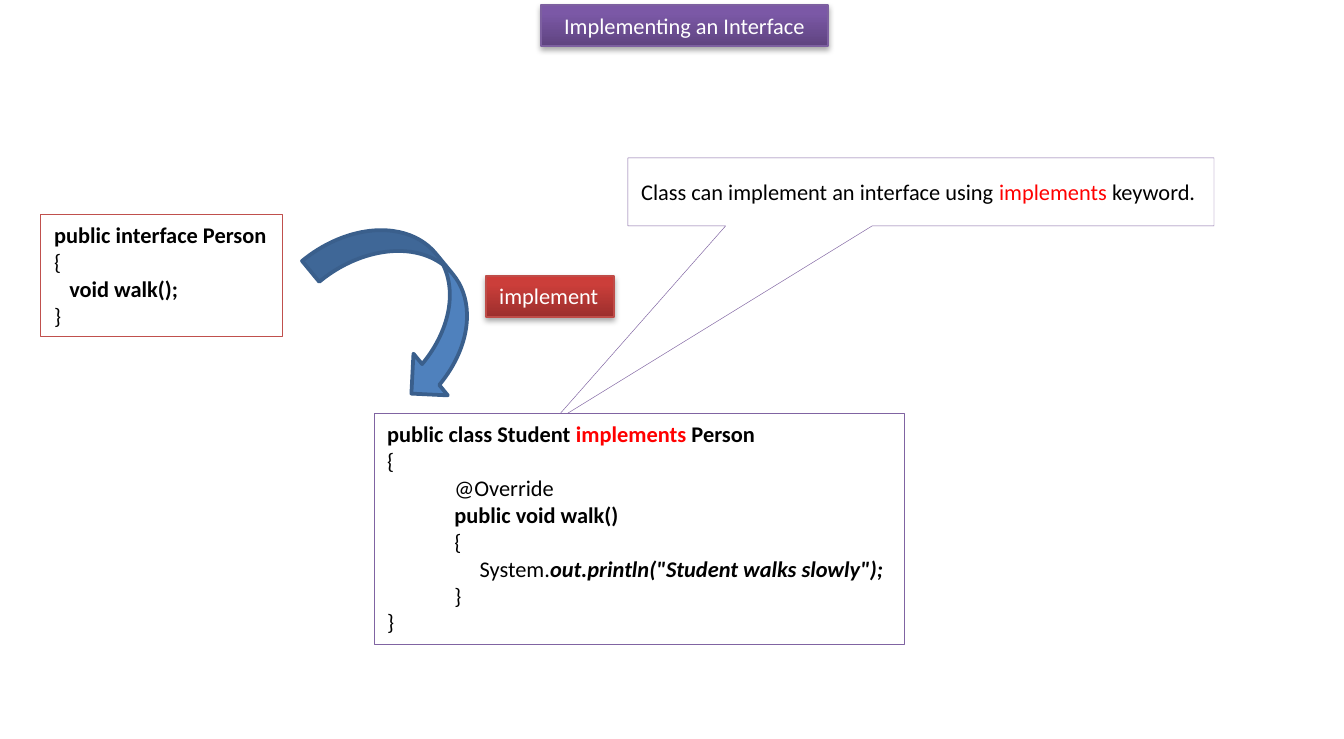
from copy import deepcopy

from lxml import etree
from pptx import Presentation
from pptx.dml.color import RGBColor
from pptx.enum.shapes import MSO_SHAPE
from pptx.enum.text import MSO_ANCHOR, MSO_AUTO_SIZE, PP_ALIGN
from pptx.oxml.ns import qn
from pptx.util import Emu, Inches, Pt

RECT = MSO_SHAPE.RECTANGLE
CALLOUT = MSO_SHAPE.RECTANGULAR_CALLOUT
CURVED_ARROW = MSO_SHAPE.CURVED_LEFT_ARROW
TOP, MIDDLE = MSO_ANCHOR.TOP, MSO_ANCHOR.MIDDLE
LEFT, CENTER = PP_ALIGN.LEFT, PP_ALIGN.CENTER
NO_AUTOFIT = MSO_AUTO_SIZE.NONE
TITLE_ONLY = 5

WHITE, BLACK, RED, PURPLE = "FFFFFF", "000000", "FF0000", "8064A2"
PX_PER_INCH = 134.4


def px(n):
    return Emu(round(n * 914400 / PX_PER_INCH))


def rgb(value):
    return RGBColor.from_string(value)


class Deck:
    """Holds the text style and the current slide."""

    font, size = "Calibri", Pt(12)

    def __init__(self, slide):
        self.s = slide

    def shape(self, kind, box, fill, line, width):
        sp = self.s.shapes.add_shape(kind, *map(px, box))
        sp.shadow.inherit = False
        sp.fill.solid()
        sp.fill.fore_color.rgb = rgb(fill)
        self.outline(sp, line, width)
        return sp

    def outline(self, sp, color, width):
        sp.line.color.rgb = rgb(color)
        sp.line.width = Pt(width)

    def text(self, sp, lines, color=BLACK, align=LEFT, anchor=TOP, wrap=True):
        """Each line is (level, bold, runs); a run is (text, color, bold italic)."""
        tf = sp.text_frame
        tf.word_wrap = wrap
        tf.auto_size = NO_AUTOFIT
        tf.vertical_anchor = anchor
        for i, (level, bold, runs) in enumerate(lines):
            p = tf.add_paragraph() if i else tf.paragraphs[0]
            p.level, p.alignment = level, align
            p.font.name, p.font.size = self.font, self.size
            p.font.bold = bold
            for words, run_color, strong in runs:
                r = p.add_run()
                r.text = words
                r.font.color.rgb = rgb(run_color or color)
                if strong:
                    r.font.bold = r.font.italic = True

    def glossy(self, sp, stops, line):
        """Bottom-to-top gradient with a soft shadow below."""
        sp.fill.gradient()
        sp.fill.gradient_angle = 90
        gs_list = sp._element.spPr.find(".//" + qn("a:gsLst"))
        gs_list.append(deepcopy(gs_list[0]))
        for stop, position, color in zip(sp.fill.gradient_stops, (0, 0.8, 1), stops):
            stop.position = position
            stop.color.rgb = rgb(color)
        self.outline(sp, line, 0.75)
        sp.shadow.inherit = False
        effects = sp._element.spPr.find(qn("a:effectLst"))
        shadow = etree.SubElement(effects, qn("a:outerShdw"), blurRad=str(Pt(3.1)),
                                  dist=str(Pt(1.8)), dir="5400000", rotWithShape="0")
        color = etree.SubElement(shadow, qn("a:srgbClr"), val=BLACK)
        etree.SubElement(color, qn("a:alpha"), val="35000")

    def title(self, words, box, stops, line):
        sp = self.s.shapes.title
        sp.left, sp.top, sp.width, sp.height = map(px, box)
        self.glossy(sp, stops, line)
        self.text(sp, [plain(words)], WHITE, CENTER)

    def tag(self, words, box, stops, line):
        sp = self.shape(RECT, box, WHITE, line, 0.75)
        self.glossy(sp, stops, line)
        self.text(sp, [plain(words)], WHITE, wrap=False)

    def code(self, box, line, lines):
        self.text(self.shape(RECT, box, WHITE, line, 0.5), lines, wrap=False)

    def callout(self, box, line, pointer, runs):
        sp = self.shape(CALLOUT, box, WHITE, line, 0.25)
        sp.adjustments[0], sp.adjustments[1] = pointer
        self.text(sp, [(0, False, runs)], anchor=MIDDLE)

    def curved_arrow(self, box, rotation, fill, line):
        self.shape(CURVED_ARROW, box, fill, line, 2).rotation = rotation


def run(words, color=None, strong=False):
    return words, color, strong


def plain(words, level=0):
    return level, False, [run(words)]


def bold(words, level=0):
    return level, True, [run(words)]


def main():
    prs = Presentation()
    prs.slide_width, prs.slide_height = Inches(10), Inches(5.5)
    deck = Deck(prs.slides.add_slide(prs.slide_layouts[TITLE_ONLY]))

    # Title
    deck.title("Implementing an Interface", (541, 5, 287, 41),
               ("5F4480", "7B58A6", "7C57A8"), "7D60A0")

    # Interface code
    deck.code((41, 215, 242, 122), "C0504D", [
        bold("public interface Person"),
        plain("{"),
        bold("   void walk();"),
        plain("}"),
    ])

    # Note on the keyword
    deck.callout((628, 158, 586, 68), PURPLE, (-0.63, 3.4), [
        run("Class can implement an interface using "),
        run("implements", RED),
        run(" keyword."),
    ])

    # Class code
    deck.code((374, 414, 531, 231), PURPLE, [
        (0, True, [run("public class Student "), run("implements", RED), run(" Person")]),
        plain("{"),
        plain("@Override", 1),
        bold("public void walk()", 1),
        plain("{", 1),
        (1, False, [run("     System."),
                    run('out.println("Student walks slowly");', strong=True)]),
        plain("}", 1),
        plain("}"),
    ])

    # Arrow from interface to class, with its label
    deck.curved_arrow((353, 204, 108, 199), 320.5, "4F81BD", "3A5F8C")
    deck.tag("implement", (486, 276, 128, 41),
             ("9C2F2D", "CB3E3A", "CE3B37"), "BF4C48")

    prs.save("out.pptx")


if __name__ == "__main__":
    main()
